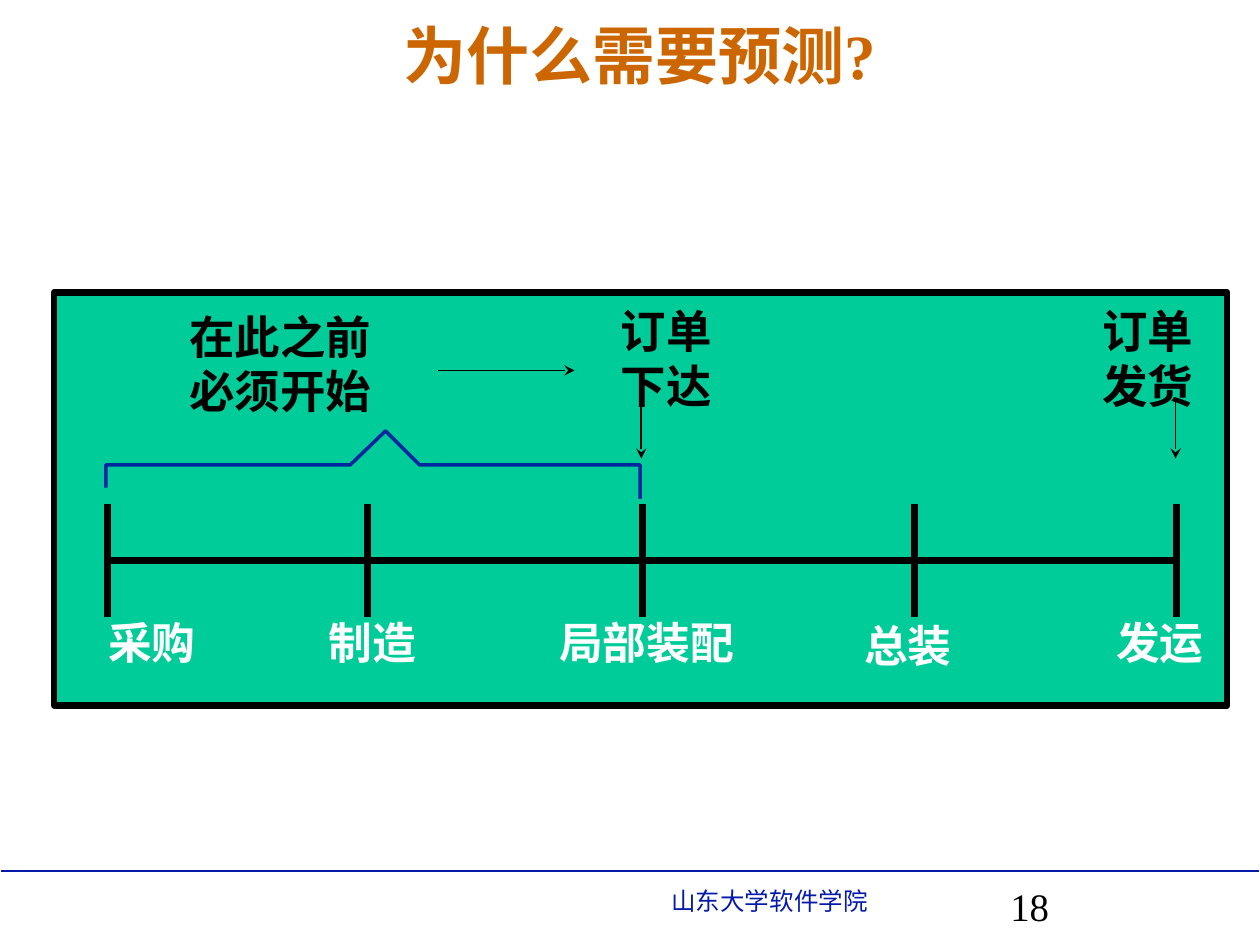
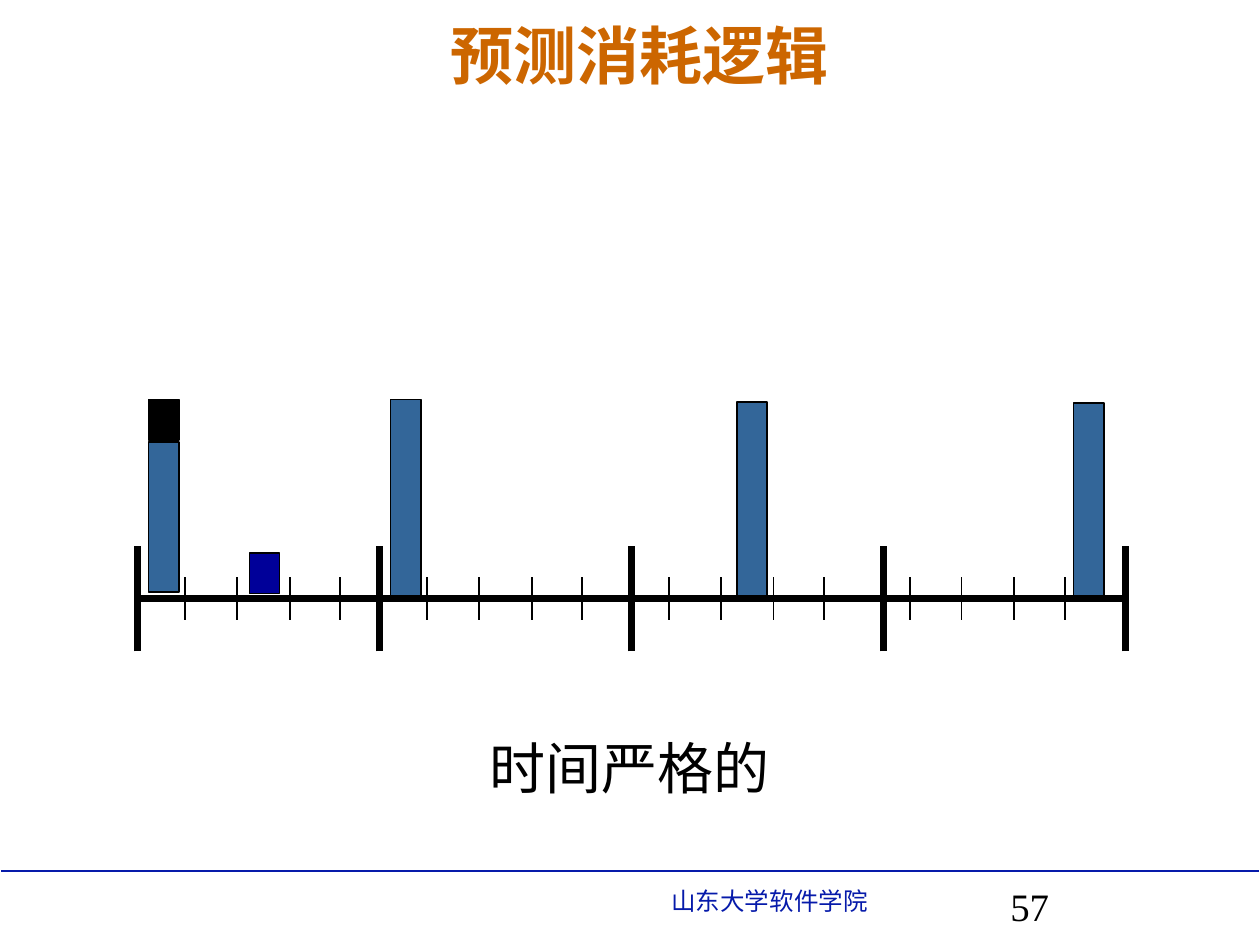
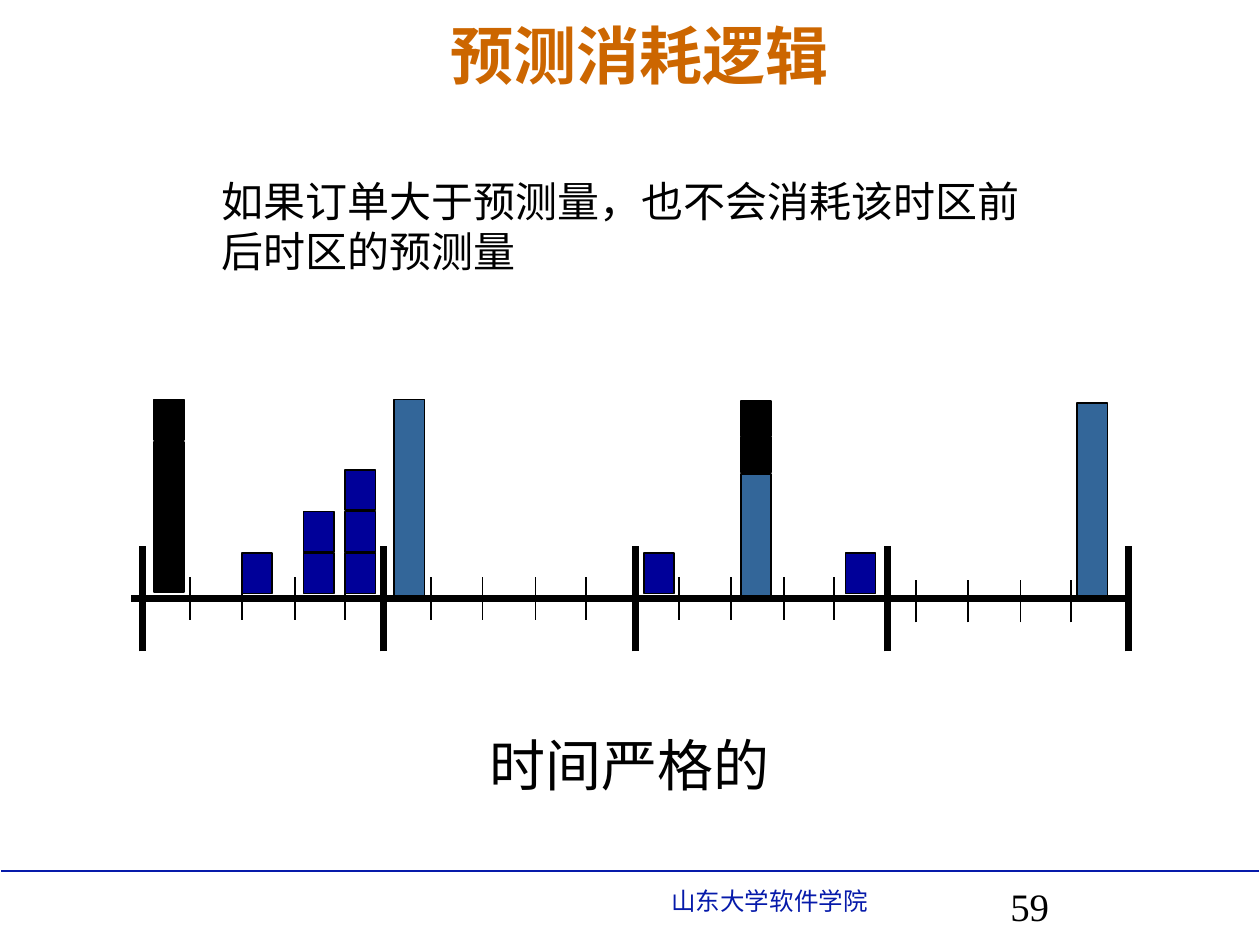
from lxml import etree
from pptx import Presentation
from pptx.dml.color import RGBColor
from pptx.enum import shapes, text
from pptx.oxml import ns
from pptx.util import Inches, Pt

rgb = RGBColor.from_string
BLACK, WHITE, NAVY, ORANGE = "000000", "FFFFFF", "061AAA", "CC6600"
GREEN, BRACKET, FORECAST, ORDER = "00CC99", "00279F", "336699", "000099"
SERIF, SANS = "Times New Roman", "Arial"
LEFT, CENTER = text.PP_ALIGN.LEFT, text.PP_ALIGN.CENTER


def write(slide, content, box, size, colour=BLACK, font=SERIF, bold=False, align=LEFT):
    frame = slide.shapes.add_textbox(*map(Inches, box)).text_frame
    frame.word_wrap = True
    frame.text = content
    for paragraph in frame.paragraphs:
        paragraph.alignment = align
        paragraph.font.size = Pt(size)
        paragraph.font.name = font
        paragraph.font.bold = bold
        paragraph.font.color.rgb = rgb(colour)
    return frame


def draw_line(slide, x1, y1, x2, y2, weight=1, colour=BLACK, arrow=False):
    line = slide.shapes.add_connector(
        shapes.MSO_CONNECTOR.STRAIGHT, *map(Inches, (x1, y1, x2, y2)))
    line.line.color.rgb = rgb(colour)
    line.line.width = Pt(weight)
    if arrow:
        etree.SubElement(line.line._get_or_add_ln(), ns.qn("a:tailEnd"), type="stealth")
    etree.SubElement(line._element.spPr, ns.qn("a:effectLst"))


prs = Presentation()
prs.slide_width, prs.slide_height = Inches(10), Inches(7.5)

pages = []
for title, number in (("为什么需要预测?", "18"), ("预测消耗逻辑", "57"), ("预测消耗逻辑", "59")):
    slide = prs.slides.add_slide(prs.slide_layouts[6])
    draw_line(slide, 0.01, 6.91, 9.99, 6.91, colour=NAVY)
    write(slide, "山东大学软件学院", (5.23, 6.98, 4.33, 0.34), 14, NAVY, SANS)
    heading = write(slide, title, (0.4, 0.13, 9.35, 0.6), 36, ORANGE, bold=True, align=CENTER)
    heading.vertical_anchor = text.MSO_ANCHOR.MIDDLE
    page_number = write(slide, number, (7.92, 7, 2.08, 0.5), 22.2)
    page_number.paragraphs[0].line_spacing = 0.9
    pages.append(slide)
why, consumed, exceeded = pages

panel = why.shapes.add_shape(
    shapes.MSO_SHAPE.RECTANGLE, *map(Inches, (0.43, 2.32, 9.31, 3.28)))
panel.shadow.inherit = False
panel.fill.solid()
panel.fill.fore_color.rgb = rgb(GREEN)
panel.line.color.rgb = rgb(BLACK)
panel.line.width = Pt(3.75)

draw_line(why, 0.85, 4.45, 9.31, 4.45, 4)
for stage, x, label_left, label_top in (
    ("采购", 0.85, 0.76, 4.84),
    ("制造", 2.92, 2.51, 4.84),
    ("局部装配", 5.1, 4.34, 4.84),
    ("总装", 7.26, 6.76, 4.86),
    ("发运", 9.34, 8.76, 4.84),
):
    draw_line(why, x, 4.9, x, 4, 4)
    write(why, stage, (label_left, label_top, 1.75, 0.52), 25, WHITE, bold=True)

write(why, "在此之前\n必须开始", (1.29, 2.4, 1.87, 0.97), 26, font=SANS, bold=True, align=CENTER)
draw_line(why, 3.48, 2.94, 4.56, 2.94, arrow=True)
for event, event_left, arrow_x in (("订单\n下达", 4.83, 5.09), ("订单\n发货", 8.65, 9.33)):
    write(why, event, (event_left, 2.36, 1.1, 0.97), 26, font=SANS, bold=True)
    draw_line(why, arrow_x, 3.19, arrow_x, 3.64, arrow=True)

outline = why.shapes.build_freeform(Inches(0.84), Inches(3.87))
outline.add_line_segments(
    [(Inches(x), Inches(y)) for x, y in (
        (0.84, 3.69), (2.78, 3.69), (3.06, 3.42), (3.33, 3.69), (5.08, 3.69), (5.08, 3.96))],
    close=False)
lead_time = outline.convert_to_shape()
lead_time.shadow.inherit = False
lead_time.fill.background()
lead_time.line.color.rgb = rgb(BRACKET)
lead_time.line.width = Pt(2)

timelines = (
    {
        "slide": consumed,
        "axis": (1.07, 8.91),
        "periods": (1.09, 3.01, 5.01, 7.01, 8.93),
        "days": ((1.47, 4.58), (3.39, 4.58), (5.31, 4.58), (7.22, 4.58)),
        "bars": (
            (FORECAST, 1.18, 3.51, 1.19), (FORECAST, 3.1, 3.17, 1.57),
            (FORECAST, 5.85, 3.19, 1.55), (FORECAST, 8.52, 3.2, 1.54),
            (BLACK, 1.18, 3.17, 0.32),
        ),
        "orders": ((1.98, 1),),
        "caption_top": 5.77,
    },
    {
        "slide": exceeded,
        "axis": (1.04, 8.96),
        "periods": (1.13, 3.04, 5.04, 7.04, 8.96),
        "days": ((1.51, 4.58), (3.42, 4.58), (5.39, 4.58), (7.27, 4.6)),
        "bars": (
            (BLACK, 1.22, 3.51, 1.19), (FORECAST, 3.13, 3.17, 1.57),
            (FORECAST, 5.88, 3.76, 0.98), (FORECAST, 8.55, 3.2, 1.54),
            (BLACK, 1.22, 3.17, 0.32), (BLACK, 5.88, 3.47, 0.28),
            (BLACK, 5.88, 3.18, 0.28),
        ),
        "orders": ((1.92, 1), (2.41, 2), (2.74, 3), (5.11, 1), (6.71, 1)),
        "caption_top": 5.75,
    },
)

for timeline in timelines:
    slide = timeline["slide"]
    for x in timeline["periods"]:
        draw_line(slide, x, 5.17, x, 4.33, 4)
    for first_day, top in timeline["days"]:
        for offset in (0, 0.41, 0.83, 1.23):
            draw_line(slide, first_day + offset, top + 0.34, first_day + offset, top)

    order_units = [
        (ORDER, left, 4.39 - 0.33 * level, 0.32)
        for left, count in timeline["orders"] for level in range(count)]
    for colour, left, top, height in [*timeline["bars"], *order_units]:
        bar = slide.shapes.add_shape(
            shapes.MSO_SHAPE.RECTANGLE, *map(Inches, (left, top, 0.24, height)))
        bar.shadow.inherit = False
        bar.fill.solid()
        bar.fill.fore_color.rgb = rgb(colour)
        bar.line.color.rgb = rgb(BLACK)
        bar.line.width = Pt(1)

    start, end = timeline["axis"]
    draw_line(slide, start, 4.75, end, 4.75, 4)
    write(slide, "时间严格的", (0.75, timeline["caption_top"], 8.5, 0.63), 32, align=CENTER)

write(exceeded, "如果订单大于预测量，也不会消耗该时区前后时区的预测量", (1.66, 1.34, 6.83, 0.9), 24)

prs.save("out.pptx")
